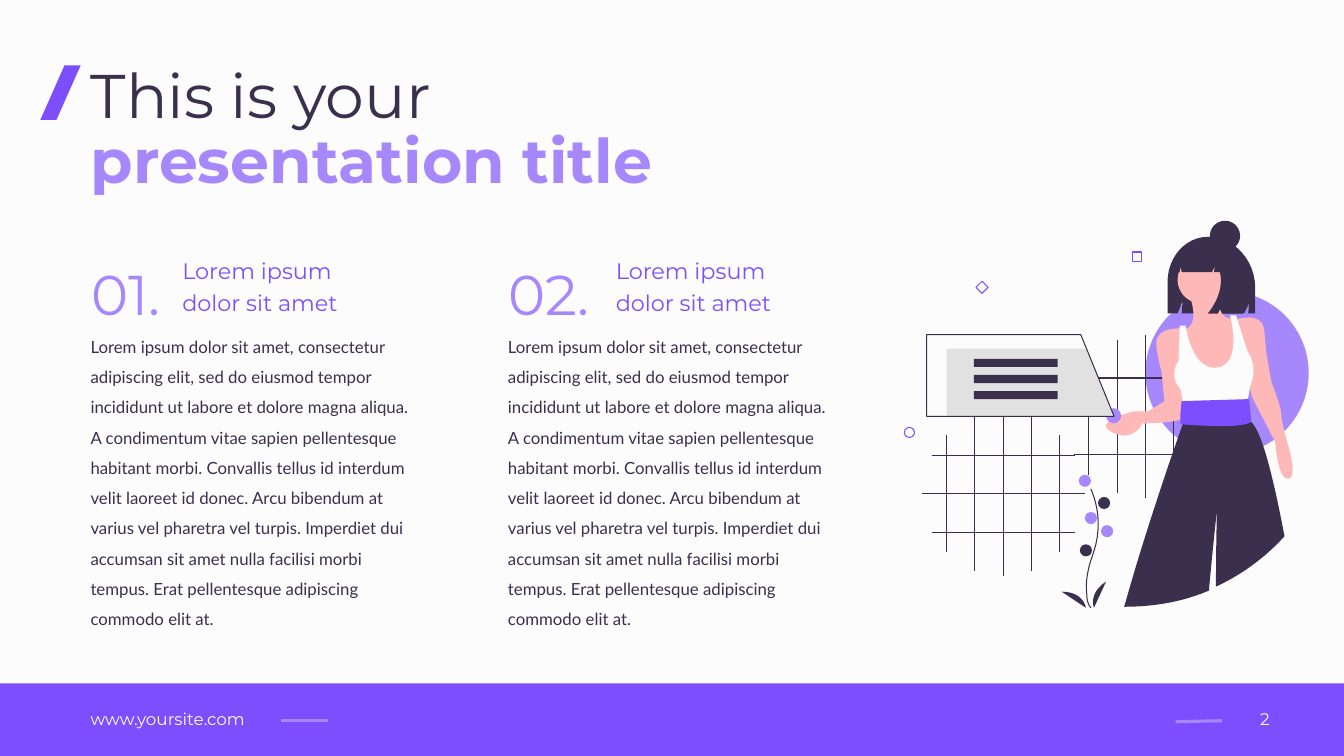
from dataclasses import dataclass

from lxml import etree
from pptx import Presentation
from pptx.dml.color import RGBColor
from pptx.enum.shapes import MSO_CONNECTOR, MSO_SHAPE
from pptx.enum.text import MSO_ANCHOR, MSO_AUTO_SIZE, PP_ALIGN
from pptx.oxml.ns import qn
from pptx.util import Inches, Pt


@dataclass(frozen=True)
class Theme:
    paper: RGBColor = RGBColor(0xFC, 0xFC, 0xFC)
    violet: RGBColor = RGBColor(0x7C, 0x4E, 0xFD)
    lilac: RGBColor = RGBColor(0xA6, 0x88, 0xFC)
    ink: RGBColor = RGBColor(0x3B, 0x2F, 0x4E)
    skin: RGBColor = RGBColor(0xFF, 0xB8, 0xB8)
    grey: RGBColor = RGBColor(0xE1, 0xE1, 0xE1)
    heading_font: str = "Montserrat"
    body_font: str = "Lato"
    title: int = 44
    number: int = 40
    heading: int = 16
    body: int = 12
    hairline: float = 0.75
    dash: float = 2.25


T = Theme()


def paint(shape, fill=None, line=None):
    shape.shadow.inherit = False
    if fill is None:
        shape.fill.background()
    else:
        shape.fill.solid()
        shape.fill.fore_color.rgb = fill
    if line is None:
        shape.line.fill.background()
    else:
        shape.line.color.rgb = line
        shape.line.width = Pt(T.hairline)


def outline(steps, close=True):
    """Freeform from steps in inches: (x, y) is a line, six numbers are a cubic curve."""
    points = [steps[0]]
    for step in steps[1:]:
        if len(step) == 2:
            points.append(step)
            continue
        knots = [points[-1], step[:2], step[2:4], step[4:]]
        for t in (i / 12 for i in range(1, 13)):
            weights = ((1 - t) ** 3, 3 * t * (1 - t) ** 2, 3 * t * t * (1 - t), t ** 3)
            points.append(tuple(sum(w * k[axis] for w, k in zip(weights, knots)) for axis in (0, 1)))
    points = [(Inches(x), Inches(y)) for x, y in points]
    builder = s.shapes.build_freeform(*points[0])
    builder.add_line_segments(points[1:], close=close)
    return builder.convert_to_shape()


prs = Presentation()
prs.slide_width, prs.slide_height = Inches(13.33), Inches(7.5)
s = prs.slides.add_slide(prs.slide_layouts[5])
s.background.fill.solid()
s.background.fill.fore_color.rgb = T.paper

# Footer band, disc behind the woman, title slash
for kind, box, color in (
    (MSO_SHAPE.RECTANGLE, (0, 6.78, 13.33, 0.72), T.violet),
    (MSO_SHAPE.OVAL, (11.36, 2.89, 1.62, 1.62), T.lilac),
):
    paint(s.shapes.add_shape(kind, *map(Inches, box)), color)
paint(outline([(0.56, 1.19), (0.4, 1.19), (0.64, 0.65), (0.8, 0.65)]), T.violet)

# Footer dashes and the two wire grids
lines = [(2.79, 7.15, 3.25, 7.15, T.lilac, T.dash), (12.12, 7.15, 11.66, 7.16, T.lilac, T.dash)]
for cx, cy in ((9.95, 4.9), (11.36, 4.13)):
    for i, half in enumerate((0.58, 0.76, 0.81, 0.76, 0.58)):
        x = cx + (i - 2) * 0.28
        lines.append((x, cy - half, x, cy + half, T.ink, T.hairline))
    for i, half in enumerate((0.71, 0.81, 0.71)):
        y = cy + (i - 1) * 0.38
        lines.append((cx - half, y, cx + half, y, T.ink, T.hairline))
for x1, y1, x2, y2, color, width in lines:
    c = s.shapes.add_connector(MSO_CONNECTOR.STRAIGHT, Inches(x1), Inches(y1), Inches(x2), Inches(y2))
    c.line.color.rgb = color
    c.line.width = Pt(width)
    etree.SubElement(c._element.spPr, qn("a:effectLst"))

# Plant
stem = [(10.82, 6.03), (10.82, 6.03, 10.78, 5.99, 10.78, 5.9),
        (10.77, 5.82, 10.77, 5.69, 10.84, 5.5), (10.97, 5.14, 10.82, 4.86, 10.82, 4.85)]
paint(outline(stem, close=False), line=T.ink)
right_leaf = [(10.85, 6.03), (10.85, 6.03, 10.79, 5.89, 10.97, 5.77)]
left_leaf = [(10.77, 6.03), (10.77, 6.03, 10.75, 5.87, 10.53, 5.87)]

# Woman
hair = [(11.98, 2.35), (11.76, 2.35, 11.58, 2.55, 11.58, 2.8), (11.58, 3.11), (11.68, 3.11),
        (11.73, 2.99), (11.72, 3.11), (12.34, 3.11), (12.39, 3.01), (12.38, 3.11),
        (12.45, 3.11), (12.45, 2.86), (12.45, 2.58, 12.24, 2.35, 11.98, 2.35)]
neck = [(11.79, 2.91), (11.79, 2.91, 11.92, 3.21, 11.75, 3.27), (11.92, 3.82), (12.2, 3.81),
        (12.28, 3.62), (12.26, 3.34), (12.24, 3.16), (12.24, 3.16, 12.06, 3.2, 12.08, 2.89)]
bent_arm = [(11.72, 3.26), (11.72, 3.26, 11.44, 3.23, 11.47, 3.44),
            (11.5, 3.64, 11.52, 3.68, 11.52, 3.68), (11.55, 3.98), (11.39, 4.08), (11.25, 4.08),
            (11.25, 4.08, 10.81, 4.18, 11.03, 4.29), (11.25, 4.39, 11.33, 4.2, 11.33, 4.2),
            (11.33, 4.2, 11.73, 4.2, 11.76, 4.13), (11.78, 4.07, 11.72, 3.26, 11.72, 3.26)]
straight_arm = [(12.26, 3.17), (12.26, 3.17, 12.52, 3.08, 12.54, 3.28),
                (12.56, 3.49, 12.56, 3.5, 12.56, 3.5), (12.61, 3.79),
                (12.61, 3.79, 12.71, 4.04, 12.71, 4.12), (12.71, 4.19, 12.78, 4.43, 12.78, 4.43),
                (12.78, 4.43, 12.88, 4.76, 12.77, 4.75), (12.67, 4.74, 12.65, 4.39, 12.65, 4.39),
                (12.42, 3.94), (12.35, 3.66)]
top = [(11.76, 3.23), (11.7, 3.23), (11.69, 3.58), (11.69, 3.58, 11.58, 3.73, 11.71, 3.86),
       (11.75, 4.08), (12.36, 4.06), (12.4, 3.83), (12.4, 3.83, 12.49, 3.65, 12.37, 3.48),
       (12.26, 3.13), (12.2, 3.13), (12.2, 3.13, 12.34, 3.64, 12.05, 3.65),
       (11.81, 3.65, 11.76, 3.23, 11.76, 3.23)]
trousers = [(12.74, 5.32), (12.55, 5.53, 12.32, 5.7, 12.06, 5.82),
            (12.06, 5.4, 12.07, 5.06, 12.07, 5.06), (12.07, 5.06, 12.03, 5.42, 11.99, 5.86),
            (11.73, 5.97, 11.45, 6.02, 11.15, 6.02), (11.38, 5.19, 11.72, 4.24, 11.73, 4.21),
            (11.78, 4.04), (12.33, 4.02), (12.4, 4.18), (12.51, 4.25, 12.63, 4.74, 12.74, 5.32)]
belt = [(12.39, 3.96), (11.72, 3.98), (11.72, 3.98, 11.69, 4.21, 11.72, 4.21),
        (11.73, 4.21, 12.42, 4.27, 12.41, 4.17), (12.4, 4.07, 12.39, 3.96, 12.39, 3.96)]
fringe = [(12.1, 2.47), (12.06, 2.42, 12, 2.39, 11.93, 2.39), (11.77, 2.39, 11.65, 2.52, 11.65, 2.7),
          (11.7, 2.7), (11.71, 2.63), (11.72, 2.7), (12.02, 2.7), (12.05, 2.64), (12.04, 2.7),
          (12.1, 2.7), (12.13, 2.83, 12.09, 2.97, 11.98, 3.11), (12.08, 3.11), (12.13, 3),
          (12.12, 3.11), (12.32, 3.11), (12.35, 2.87), (12.35, 2.68, 12.25, 2.53, 12.1, 2.47)]
for part, color in ((right_leaf, T.ink), (left_leaf, T.ink), (hair, T.ink), (neck, T.skin),
                    (bent_arm, T.skin), (straight_arm, T.skin), (top, T.paper),
                    (trousers, T.ink), (belt, T.violet)):
    paint(outline(part), color)

# Head, bun, held ball and plant berries
for x, y, size, color in (
    (11.68, 2.54, 0.47, T.skin), (12, 2.19, 0.3, T.ink), (10.97, 4.05, 0.15, T.lilac),
    (10.7, 4.71, 0.12, T.lilac), (10.89, 4.93, 0.12, T.ink), (10.76, 5.08, 0.12, T.lilac),
    (10.92, 5.21, 0.12, T.lilac), (10.71, 5.4, 0.12, T.ink),
):
    paint(s.shapes.add_shape(MSO_SHAPE.OVAL, Inches(x), Inches(y), Inches(size), Inches(size)), color)
paint(outline(fringe), T.ink)

# Board with three bars
paint(outline([(11.05, 4.13), (9.39, 4.13), (9.39, 3.46), (10.77, 3.46)]), T.grey)
paint(outline([(11.05, 4.13), (9.19, 4.13), (9.19, 3.32), (10.72, 3.32)]), line=T.ink)
for i in range(3):
    bar = s.shapes.add_shape(MSO_SHAPE.RECTANGLE, Inches(9.66), Inches(3.56 + i * 0.16), Inches(0.83), Inches(0.08))
    paint(bar, T.ink)

# Small floating outlines
for kind, x, y, size in ((MSO_SHAPE.OVAL, 8.97, 4.24, 0.1), (MSO_SHAPE.RECTANGLE, 11.23, 2.5, 0.09),
                         (MSO_SHAPE.DIAMOND, 9.68, 2.79, 0.12)):
    paint(s.shapes.add_shape(kind, Inches(x), Inches(y), Inches(size), Inches(size)), line=T.violet)

# Text: box, lines, size, colour, line spacing
heading = ("Lorem ipsum", "dolor sit amet")
body = (
    "Lorem ipsum dolor sit amet, consectetur adipiscing elit, sed do eiusmod tempor incididunt "
    "ut labore et dolore magna aliqua.",
    "A condimentum vitae sapien pellentesque habitant morbi. Convallis tellus id interdum velit "
    "laoreet id donec. Arcu bibendum at varius vel pharetra vel turpis. Imperdiet dui accumsan "
    "sit amet nulla facilisi morbi tempus. Erat pellentesque adipiscing commodo elit at.",
)
title = ("This is your",)
subtitle = ("presentation title",)
page = ("2",)
texts = [
    ((0.8, 0.51, 8.27, 0.84), title, T.title, T.ink, 1),
    ((0.8, 1.16, 5.94, 0.84), subtitle, T.title, T.lilac, 1),
    ((0.8, 6.98, 1.99, 0.34), ("www.yoursite.com",), T.body, T.paper, 1),
    ((12.12, 6.98, 0.57, 0.34), page, T.body, T.paper, 1),
]
for number, left, number_left, heading_left in (("01.", 0.8, 0.81, 1.71), ("02.", 4.94, 4.94, 6.01)):
    texts += [
        ((number_left, 2.39, 1.08, 0.85), (number,), T.number, T.lilac, 1.2),
        ((heading_left, 2.45, 2.56, 0.72), heading, T.heading, T.violet, 1.2),
        ((left, 3.19, 3.5, 2.79), body, T.body, T.ink, 1.5),
    ]
for box, rows, size, color, spacing in texts:
    box = [Inches(v) for v in box]
    sp = s.shapes.title if rows is title else s.shapes.add_textbox(*box)
    sp.left, sp.top, sp.width, sp.height = box
    tf = sp.text_frame
    tf.word_wrap = True
    tf.auto_size = MSO_AUTO_SIZE.NONE
    tf.vertical_anchor = MSO_ANCHOR.TOP
    p = tf.paragraphs[0]
    p.alignment = PP_ALIGN.RIGHT if rows is page else PP_ALIGN.LEFT
    p.line_spacing = spacing
    for i, row in enumerate(rows):
        if i:
            p.add_line_break()
        r = p.add_run()
        r.text = row
        r.font.name = T.body_font if rows is body else T.heading_font
        r.font.size = Pt(size)
        r.font.bold = rows is subtitle
        r.font.color.rgb = color

prs.save("out.pptx")
